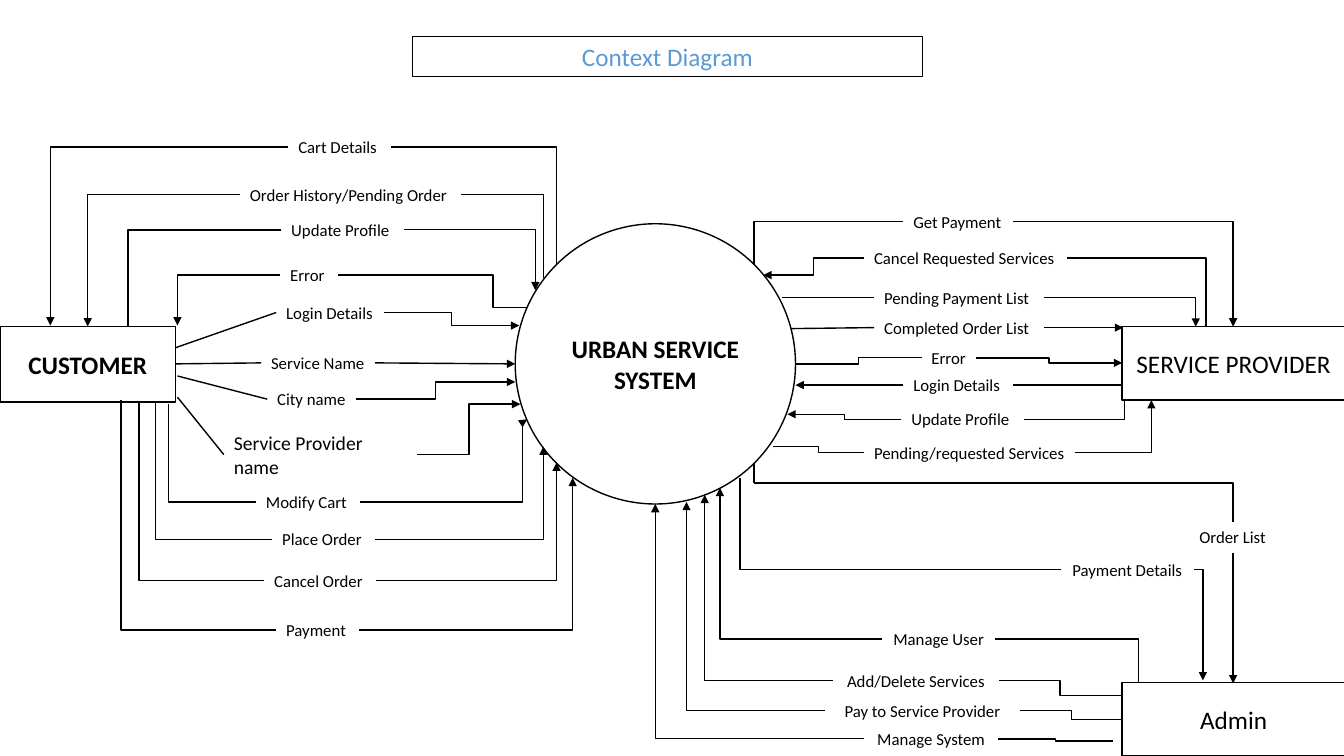
from dataclasses import dataclass

from lxml.etree import SubElement
from pptx import Presentation
from pptx.dml.color import RGBColor
from pptx.enum.shapes import MSO_CONNECTOR, MSO_SHAPE
from pptx.enum.text import MSO_ANCHOR, PP_ALIGN
from pptx.oxml.ns import qn
from pptx.util import Inches, Pt


@dataclass(frozen=True)
class Theme:
    font: str = "Calibri"
    ink: RGBColor = RGBColor(0, 0, 0)
    paper: RGBColor = RGBColor(255, 255, 255)
    accent: RGBColor = RGBColor(0x5B, 0x9B, 0xD5)
    heading: int = 18
    emphasis: int = 14
    label: int = 12
    stroke: int = 1


theme = Theme()
STRAIGHT, MIDDLE, CORNER = 0, 0.5, 1
ARROW = True
LABEL_HEIGHT = 0.3

ENTITIES = [
    ("URBAN SERVICE SYSTEM", MSO_SHAPE.OVAL, (5.11, 2.22, 2.78, 2.78), {"bold": True}),
    ("CUSTOMER", MSO_SHAPE.RECTANGLE, (0, 3.24, 1.74, 0.75), {"bold": True}),
    ("SERVICE PROVIDER", MSO_SHAPE.RECTANGLE, (11.13, 3.24, 2.21, 0.73), {}),
    ("Admin", MSO_SHAPE.RECTANGLE, (11.13, 6.77, 2.21, 0.73), {}),
    ("Context Diagram", MSO_SHAPE.RECTANGLE, (4.09, 0.36, 5.06, 0.4), {"color": theme.accent}),
]

# label, left, width, middle, left route, right route; route: end x, end y, bend, arrow
CUSTOMER_FLOWS = [
    ("Cart Details", 2.86, 1.02, 1.46, (0.5, 3.23, CORNER, ARROW), (5.52, 2.63, CORNER)),
    ("Order History/Pending Order", 2.38, 2.19, 1.93, (0.87, 3.24, CORNER, ARROW), (5.39, 2.76, CORNER)),
    ("Update Profile", 2.79, 1.22, 2.28, (1.27, 3.23, CORNER), (5.31, 2.88, CORNER, ARROW)),
    ("Error", 2.78, 0.57, 2.73, (1.76, 3.23, CORNER, ARROW), (5.23, 3.05, 0.82)),
    ("Login Details", 2.74, 1.07, 3.1, (1.74, 3.45, STRAIGHT), (5.15, 3.23, MIDDLE, ARROW)),
    ("Service Name", 2.59, 1.13, 3.6, (1.74, 3.61, STRAIGHT), (5.11, 3.61, STRAIGHT, ARROW)),
    ("City name", 2.65, 0.88, 3.96, (1.76, 3.73, STRAIGHT), (5.11, 3.79, MIDDLE, ARROW)),
    ("Service Provider name", 2.22, 1.92, 4.51, (1.76, 3.94, STRAIGHT), (5.16, 4.01, MIDDLE, ARROW)),
    ("Modify Cart", 2.54, 1.03, 4.98, (1.67, 4.01, CORNER), (5.23, 4.16, 0.97, ARROW)),
    ("Place Order", 2.7, 1.02, 5.35, (1.54, 4, CORNER), (5.39, 4.43, CORNER, ARROW)),
    ("Cancel Order", 2.62, 1.11, 5.76, (1.38, 4, CORNER), (5.52, 4.59, CORNER, ARROW)),
    ("Payment", 2.74, 0.82, 6.25, (1.2, 3.97, CORNER), (5.68, 4.74, CORNER, ARROW)),
]
PROVIDER_FLOWS = [
    ("Get Payment", 8.96, 1.09, 2.2, (7.48, 2.63, CORNER), (12.23, 3.24, CORNER, ARROW)),
    ("Cancel Requested Services", 8.57, 2.01, 2.56, (7.57, 2.73, MIDDLE, ARROW), (11.96, 3.24, CORNER)),
    ("Pending Payment List", 8.67, 1.68, 2.95, (7.76, 2.95, STRAIGHT), (11.86, 3.24, CORNER, ARROW)),
    ("Completed Order List", 8.67, 1.68, 3.25, (7.85, 3.26, STRAIGHT), (11.14, 3.25, STRAIGHT, ARROW)),
    ("Error", 9.14, 0.54, 3.55, (7.89, 3.61, MIDDLE), (11.13, 3.6, MIDDLE, ARROW)),
    ("Login Details", 8.96, 1.09, 3.82, (7.89, 3.82, STRAIGHT, ARROW), (11.12, 3.82, STRAIGHT)),
    ("Update Profile", 8.94, 1.22, 4.16, (7.81, 4.11, MIDDLE, ARROW), (11.15, 3.97, CORNER)),
    ("Pending/requested Services", 8.57, 2.09, 4.49, (7.67, 4.43, MIDDLE), (11.42, 3.97, CORNER, ARROW)),
]
ADMIN_FLOWS = [
    ("Payment Details", 10.52, 1.32, 5.65, (7.34, 4.74, CORNER), (11.93, 6.75, CORNER, ARROW)),
    ("Manage User", 8.75, 1.12, 6.34, (7.14, 4.84, CORNER, ARROW), (11.29, 6.77, CORNER)),
    ("Add/Delete Services", 8.26, 1.65, 6.75, (6.99, 4.91, CORNER, ARROW), (11.12, 6.9, MIDDLE)),
    ("Pay to Service Provider", 8.18, 1.94, 7.05, (6.81, 4.98, CORNER, ARROW), (11.13, 7.14, MIDDLE)),
    ("Manage System", 8.57, 1.33, 7.33, (6.5, 5, CORNER, ARROW), (11.04, 7.35, MIDDLE)),
]
ORDER_LIST = ("Order List", 11.77, 0.91, 5.33)
ORDER_LIST_ROUTES = [
    ((7.48, 4.59), (7.48, 4.79, STRAIGHT)),
    ((7.48, 4.79), (12.23, 5.18, CORNER)),
    ((12.23, 5.49), (12.23, 6.78, STRAIGHT, ARROW)),
]


def write(holder, text, size=theme.label, color=theme.ink, bold=False,
          align=PP_ALIGN.CENTER, anchor=MSO_ANCHOR.MIDDLE, wrap=True):
    frame = holder.text_frame
    frame.word_wrap = wrap
    frame.vertical_anchor = anchor
    paragraph = frame.paragraphs[0]
    paragraph.alignment = align
    run = paragraph.add_run()
    run.text = text
    run.font.name = theme.font
    run.font.size = Pt(size)
    run.font.bold = bold
    run.font.color.rgb = color


def add_entity(name, outline, box, style):
    entity = slide.shapes.add_shape(outline, *map(Inches, box))
    entity.shadow.inherit = False
    entity.fill.solid()
    entity.fill.fore_color.rgb = theme.paper
    entity.line.color.rgb = theme.ink
    entity.line.width = Pt(theme.stroke)
    write(entity, name, size=theme.heading, **style)


def add_label(text, left, width, middle, **style):
    box = (left, middle - LABEL_HEIGHT / 2, width, LABEL_HEIGHT)
    write(slide.shapes.add_textbox(*map(Inches, box)), text, wrap=False, **style)


def add_route(start, end_x, end_y, bend, arrow=False):
    kind = MSO_CONNECTOR.STRAIGHT if bend == STRAIGHT else MSO_CONNECTOR.ELBOW
    route = slide.shapes.add_connector(kind, *map(Inches, (*start, end_x, end_y)))
    route.line.color.rgb = theme.ink
    route.line.width = Pt(theme.stroke)
    properties = route._element.spPr
    geometry = properties.find(qn("a:prstGeom"))
    if bend == CORNER:
        geometry.set("prst", "bentConnector2")
    elif bend != STRAIGHT:
        guide = SubElement(geometry.find(qn("a:avLst")), qn("a:gd"))
        guide.set("name", "adj1")
        guide.set("fmla", f"val {round(bend * 100000)}")
    if arrow:
        SubElement(properties.find(qn("a:ln")), qn("a:tailEnd")).set("type", "triangle")
    SubElement(properties, qn("a:effectLst"))


presentation = Presentation()
presentation.slide_width = Inches(13.33)
presentation.slide_height = Inches(7.5)
slide = presentation.slides.add_slide(presentation.slide_layouts[6])

for entity_details in ENTITIES:
    add_entity(*entity_details)

for flows, align in (
    (CUSTOMER_FLOWS, PP_ALIGN.LEFT),
    (PROVIDER_FLOWS, PP_ALIGN.LEFT),
    (ADMIN_FLOWS, PP_ALIGN.CENTER),
):
    for name, left, width, middle, left_route, right_route in flows:
        size = theme.emphasis if name == "Service Provider name" else theme.label
        add_label(name, left, width, middle, size=size, align=align)
        add_route((left, middle), *left_route)
        add_route((left + width, middle), *right_route)

add_label(*ORDER_LIST)
for start, route_end in ORDER_LIST_ROUTES:
    add_route(start, *route_end)

presentation.save("out.pptx")
